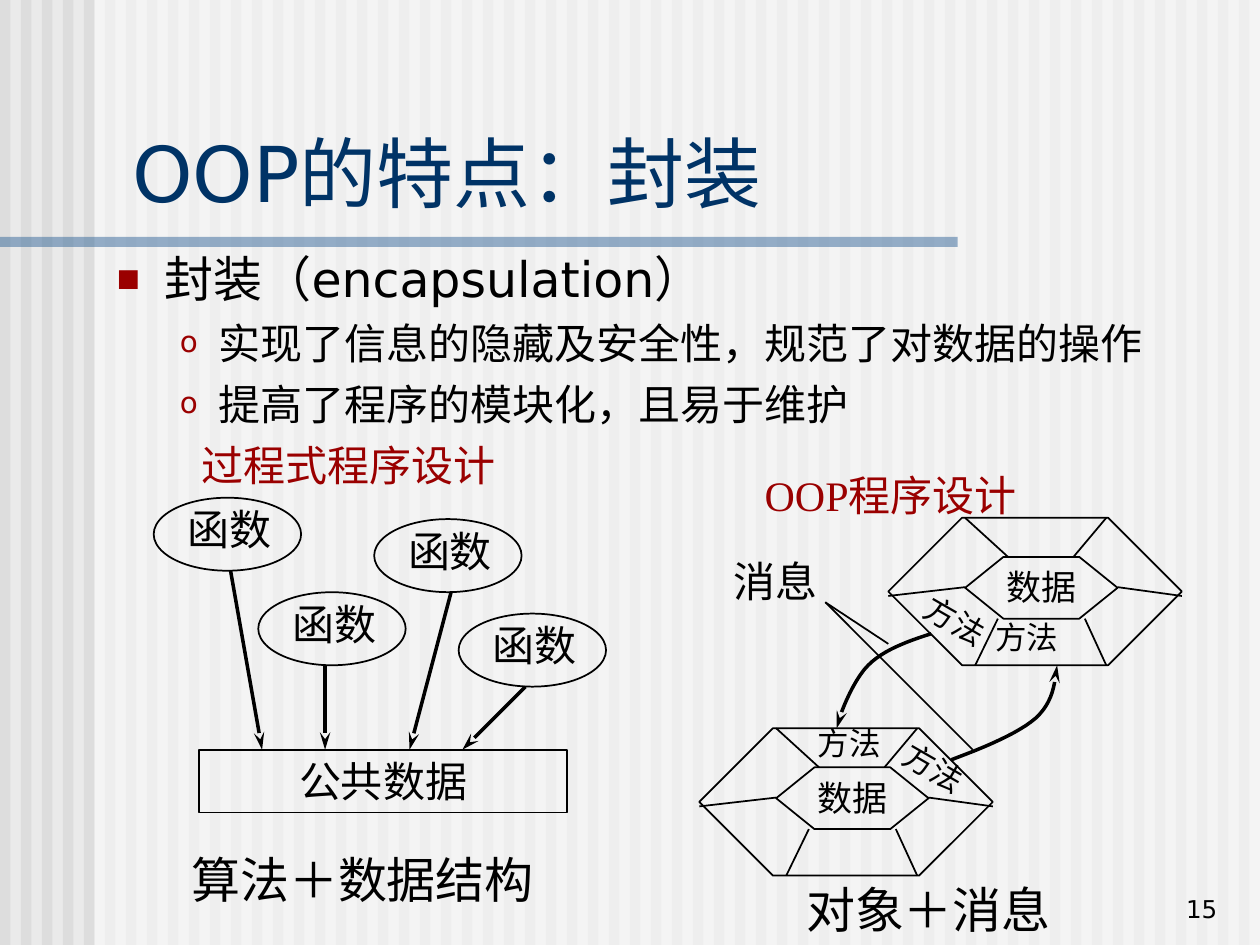
from lxml.etree import SubElement
from pptx import Presentation
from pptx.dml.color import RGBColor
from pptx.enum.shapes import MSO_CONNECTOR as Connector, MSO_SHAPE as Shape
from pptx.enum.text import MSO_ANCHOR as Anchor, MSO_AUTO_SIZE as AutoSize, PP_ALIGN as Align
from pptx.oxml.ns import qn
from pptx.util import Inches, Pt

WIDTH, HEIGHT = 10, 7.5
SANS, SERIF = "DejaVu Sans", "Times New Roman"
BLACK, NAVY, RED = "000000", "003366", "9A0000"

BULLETS = [
    ("封装（encapsulation）", 28, 0, 0.38, 0.38, "■", 50, 0),
    ("实现了信息的隐藏及安全性，规范了对数据的操作", 24, 1, 0.81, 0.31, "o", 70, 6),
    ("提高了程序的模块化，且易于维护", 24, 1, 0.81, 0.31, "o", 70, 6),
]
FUNCTIONS = [(1.22, 3.95), (2.05, 4.7), (2.97, 4.12), (3.64, 4.87)]
CALLS = [
    ((1.83, 4.53), (2.08, 5.95)),
    ((2.58, 5.28), (2.58, 5.95)),
    ((3.58, 4.7), (3.25, 5.95)),
    ((4.17, 5.45), (3.67, 5.95)),
]
LABELS = [
    ("算法＋数据结构", (1.42, 6.69, 3.67, 0.57), 28, BLACK),
    ("过程式程序设计", (1.5, 3.44, 3.42, 0.5), 24, RED),
    ("OOP程序设计", (5.97, 3.68, 2.75, 0.5), 24, RED),
    ("对象＋消息", (6.3, 6.93, 3.17, 0.57), 28, BLACK),
    ("消息", (5.72, 4.36, 1.08, 0.5), 24, BLACK),
]
OBJECTS = [
    ((5.55, 5.78), [(0.84, -0.08, 1, 0), (1.5, 0.17, 0.92, 30)]),
    ((7.05, 4.11), [(0.17, 0.67, 0.92, 30), (0.75, 0.75, 1, 0)]),
]
SPOKES = [
    ((0.61, 0), (0.95, 0.31)),
    ((0, 0.62), (0.61, 0.55)),
    ((0.87, 0.8), (0.69, 1.17)),
    ((1.56, 0.8), (1.73, 1.17)),
    ((1.73, 0), (1.47, 0.31)),
    ((1.82, 0.55), (2.33, 0.62)),
]
MESSAGES = [
    [(7.39, 5.03), (7.2, 5.09), (7.01, 5.16), (6.89, 5.28),
     (6.76, 5.41), (6.65, 5.71), (6.64, 5.78)],
    [(7.55, 6.03), (7.82, 5.93), (8.08, 5.82), (8.22, 5.7),
     (8.36, 5.57), (8.37, 5.43), (8.39, 5.28)],
]
POINTERS = [((6.55, 4.78), (7.05, 5.11)), ((6.55, 4.78), (7.72, 5.95))]

deck = Presentation()
deck.slide_width, deck.slide_height = Inches(WIDTH), Inches(HEIGHT)
page = deck.slides.add_slide(deck.slide_layouts[6])


def color(value):
    return RGBColor.from_string(value)


def write(para, text, size, font=SERIF, fill=BLACK, align=None):
    span = para.add_run()
    span.text = text
    span.font.size, span.font.name = Pt(size), font
    span.font.color.rgb = color(fill)
    para.alignment = align


def add_text(text, area, size, rotation=0, anchor=Anchor.TOP, grow=True, **style):
    box = page.shapes.add_textbox(*map(Inches, area))
    box.rotation = rotation
    frame = box.text_frame
    frame.word_wrap, frame.vertical_anchor = True, anchor
    frame.auto_size = AutoSize.SHAPE_TO_FIT_TEXT if grow else AutoSize.NONE
    if text:
        write(frame.paragraphs[0], text, size, **style)
    return frame


def add_fill(area, value, alpha=100):
    shape = page.shapes.add_shape(Shape.RECTANGLE, *map(Inches, area))
    shape.shadow.inherit = False
    shape.fill.solid()
    shape.fill.fore_color.rgb = color(value)
    shape.line.fill.background()
    if alpha < 100:
        tint = shape.fill._xPr.find(qn("a:solidFill"))[0]
        SubElement(tint, qn("a:alpha"), val=str(alpha * 1000))


def set_line(item, width, arrow=False):
    item.line.color.rgb = color(BLACK)
    item.line.width = Pt(width)
    if arrow:
        SubElement(item.line._get_or_add_ln(), qn("a:tailEnd"), type="stealth", len="lg")


def add_outline(kind, area, adjust=None):
    shape = page.shapes.add_shape(kind, *map(Inches, area))
    shape.shadow.inherit = False
    shape.fill.background()
    set_line(shape, 1)
    if adjust:
        shape.adjustments[0] = adjust
    return shape


def add_line(start, end, width=1, arrow=False):
    line = page.shapes.add_connector(Connector.STRAIGHT, *map(Inches, (*start, *end)))
    set_line(line, width, arrow)
    SubElement(line._element.spPr, qn("a:effectLst"))


def add_curve(points, steps=12):
    points = [(Inches(x), Inches(y)) for x, y in points]
    bends = []
    for first in range(0, len(points) - 1, 3):
        a, b, c, d = points[first:first + 4]
        for step in range(1, steps + 1):
            t = step / steps
            u = 1 - t
            bends.append(tuple(
                round(u**3 * a[i] + 3 * u * u * t * b[i] + 3 * u * t * t * c[i] + t**3 * d[i])
                for i in (0, 1)))
    builder = page.shapes.build_freeform(*points[0])
    builder.add_line_segments(bends, close=False)
    curve = builder.convert_to_shape()
    curve.shadow.inherit = False
    curve.fill.background()
    set_line(curve, 2, arrow=True)


def add_bullet(para, indent, hang, mark, percent):
    props = para._p.get_or_add_pPr()
    props.set("marL", str(Inches(indent)))
    props.set("indent", str(-Inches(hang)))
    tint = SubElement(props, qn("a:buClr"))
    SubElement(tint, qn("a:srgbClr"), val=RED)
    SubElement(props, qn("a:buSzPct"), val=str(percent * 1000))
    SubElement(props, qn("a:buFont"), typeface=SANS)
    SubElement(props, qn("a:buChar"), char=mark)


page.background.fill.solid()
page.background.fill.fore_color.rgb = color("EAEAEA")
for column in range(60):
    add_fill((column * WIDTH / 60, 0, WIDTH / 120, HEIGHT), "DDDDDD")
add_fill((0.75, 0, WIDTH - 0.75, HEIGHT), "FFFFFF", 50)
add_fill((0, 1.88, 7.6, 0.08), "336699", 50)

add_text("OOP的特点：封装", (0.95, 0.94, 8.93, 0.84), 44,
         anchor=Anchor.BOTTOM, font=SANS, fill=NAVY)
body = add_text("", (0.83, 1.92, 8.87, 4.58), 28, grow=False)
for index, (text, size, level, indent, hang, mark, percent, before) in enumerate(BULLETS):
    para = body.add_paragraph() if index else body.paragraphs[0]
    para.level = level
    para.space_before = Pt(before)
    add_bullet(para, indent, hang, mark, percent)
    write(para, text, size, font=SANS)

for left, top in FUNCTIONS:
    add_outline(Shape.OVAL, (left, top, 1.17, 0.58))
    add_text("函数", (left + 0.17, top, 2.67, 0.5), 24)
store = add_outline(Shape.RECTANGLE, (1.58, 5.95, 2.92, 0.5))
write(store.text_frame.paragraphs[0], "公共数据", 24, align=Align.CENTER)
for start, end in CALLS:
    add_line(start, end, width=2, arrow=True)

for (left, top), methods in OBJECTS:
    add_outline(Shape.HEXAGON, (left + 0.61, top + 0.31, 1.21, 0.49), 0.62)
    add_outline(Shape.HEXAGON, (left, top, 2.33, 1.17), 0.5)
    for spoke in SPOKES:
        add_line(*[(left + x, top + y) for x, y in spoke])
    add_text("数据", (left + 0.84, top + 0.33, 0.92, 0.44), 20)
    for x, y, width, rotation in methods:
        add_text("方法", (left + x, top + y, width, 0.4), 18, rotation)

for message in MESSAGES:
    add_curve(message)
for text, area, size, fill in LABELS:
    add_text(text, area, size, fill=fill)
for start, end in POINTERS:
    add_line(start, end)
add_text("15", (7.68, 6.88, 2.08, 0.5), 14, anchor=Anchor.BOTTOM, grow=False,
         font=SANS, align=Align.RIGHT)

deck.save("out.pptx")
